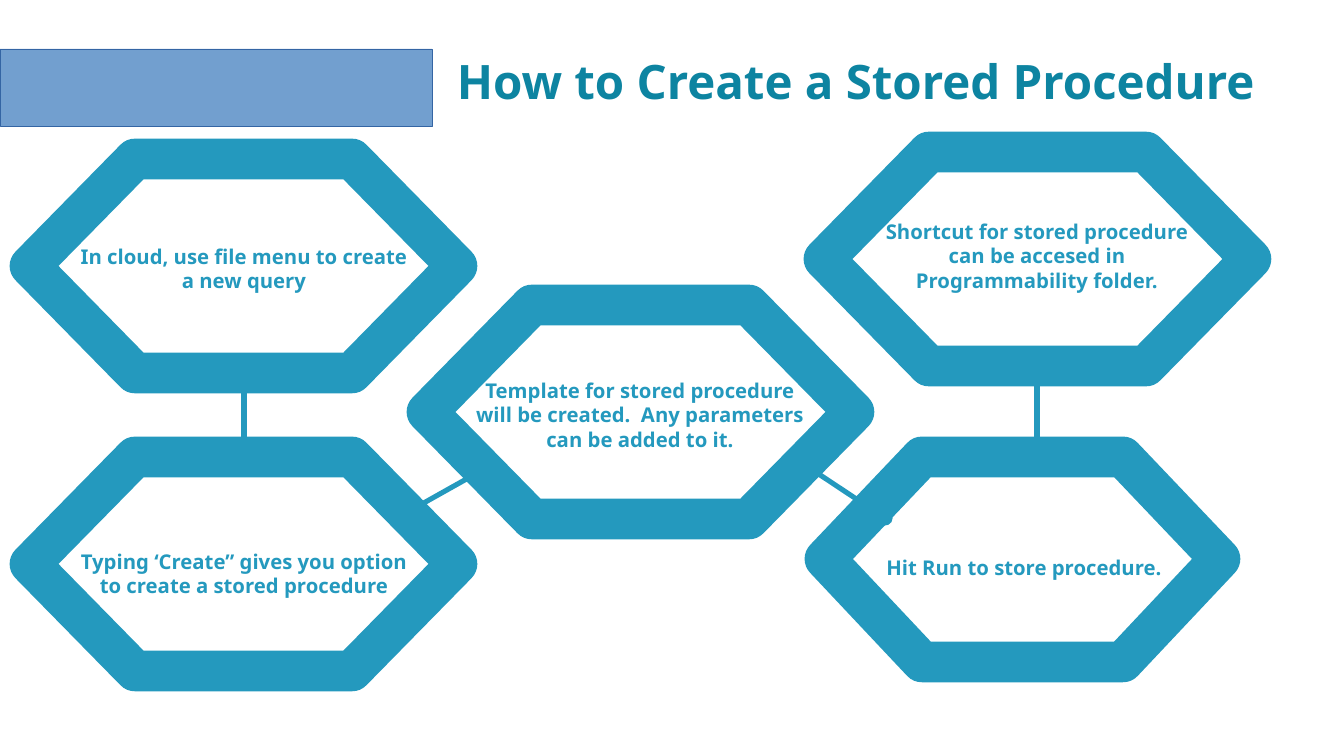
from lxml.etree import SubElement
from pptx import Presentation
from pptx.dml.color import RGBColor
from pptx.enum.shapes import MSO_CONNECTOR, MSO_SHAPE
from pptx.enum.text import MSO_ANCHOR, PP_ALIGN
from pptx.oxml.ns import qn
from pptx.util import Pt

PX = 7495  # EMU in one px
FONT = "Noto Sans"
TEAL = RGBColor(0x24, 0x99, 0xBE)
DEEP = RGBColor(0x0D, 0x84, 0xA1)
BLUE = RGBColor(0x72, 0x9F, 0xCF)
NAVY = RGBColor(0x34, 0x65, 0xA4)

BIG = (427, 214)
SMALL = (395, 205)

# hexagon left, top, size; text left, top, width, height; text
STEPS = [
    ((30, 159, BIG), (61, 238, 366, 98),
     "In cloud, use file menu to create a new query"),
    ((30, 457, BIG), (61, 543, 366, 70),
     "Typing ‘Create” gives you option to create a stored procedure"),
    ((427, 305, BIG), (457, 372, 366, 100),
     "Template for stored procedure will be created.  Any parameters can be added to it."),
    ((825, 457, SMALL), (826, 549, 396, 40),
     "Hit Run to store procedure."),
    ((824, 152, BIG), (854, 213, 366, 95),
     "Shortcut for stored procedure can be accesed in Programmability folder."),
]

LINKS = [
    (244, 372, 244, 457),
    (397, 518, 488, 467),
    (885, 518, 793, 457),
    (1037, 457, 1037, 366),
]


def scale(*sizes):
    return [size * PX for size in sizes]


def add_bar(slide):
    bar = slide.shapes.add_shape(MSO_SHAPE.RECTANGLE, *scale(0, 49, 432, 77))
    bar.shadow.inherit = False
    bar.fill.solid()
    bar.fill.fore_color.rgb = BLUE
    bar.line.color.rgb = NAVY
    bar.line.width = Pt(0.1)


def add_link(slide, ends):
    """Draw a line with a round dot at its start."""
    link = slide.shapes.add_connector(MSO_CONNECTOR.STRAIGHT, *scale(*ends))
    link.line.color.rgb = TEAL
    link.line.width = Pt(3)
    SubElement(link.line._get_or_add_ln(), qn("a:headEnd"), type="oval")
    SubElement(link._element.spPr, qn("a:effectLst"))


def add_hex(slide, left, top, size):
    """Draw an unfilled hexagon with a thick, round-cornered line."""
    width, height = size
    inset = round(width * 0.246)
    right, base, mid = left + width, top + height, top + height // 2
    pen = slide.shapes.build_freeform(left + inset, top, scale=PX)
    pen.add_line_segments([
        (right - inset, top), (right, mid), (right - inset, base),
        (left + inset, base), (left, mid),
    ])
    ring = pen.convert_to_shape()
    ring.shadow.inherit = False
    ring.fill.background()
    ring.line.color.rgb = TEAL
    ring.line.width = Pt(24)
    SubElement(ring.line._get_or_add_ln(), qn("a:round"))


def add_text(slide, box, text, size, color, align):
    frame = slide.shapes.add_textbox(*scale(*box)).text_frame
    frame.word_wrap = True
    line = frame.paragraphs[0]
    line.text = text
    line.alignment = align
    font = line.font
    font.name = FONT
    font.size = Pt(size)
    font.bold = True
    font.color.rgb = color
    return frame


def add_title(slide):
    frame = add_text(slide, (457, -21, 887, 204),
                     "How to Create a Stored Procedure", 28, DEEP, PP_ALIGN.LEFT)
    frame.vertical_anchor = MSO_ANCHOR.MIDDLE
    frame.margin_left = frame.margin_right = 0
    frame.margin_top = frame.margin_bottom = 0


def main():
    deck = Presentation()
    deck.slide_width, deck.slide_height = scale(1344, 756)
    slide = deck.slides.add_slide(deck.slide_layouts[6])
    add_bar(slide)
    for ends in LINKS:
        add_link(slide, ends)
    for ring, box, text in STEPS:
        add_hex(slide, *ring)
        add_text(slide, box, text, 12, TEAL, PP_ALIGN.CENTER)
    add_title(slide)
    deck.save("out.pptx")


if __name__ == "__main__":
    main()
